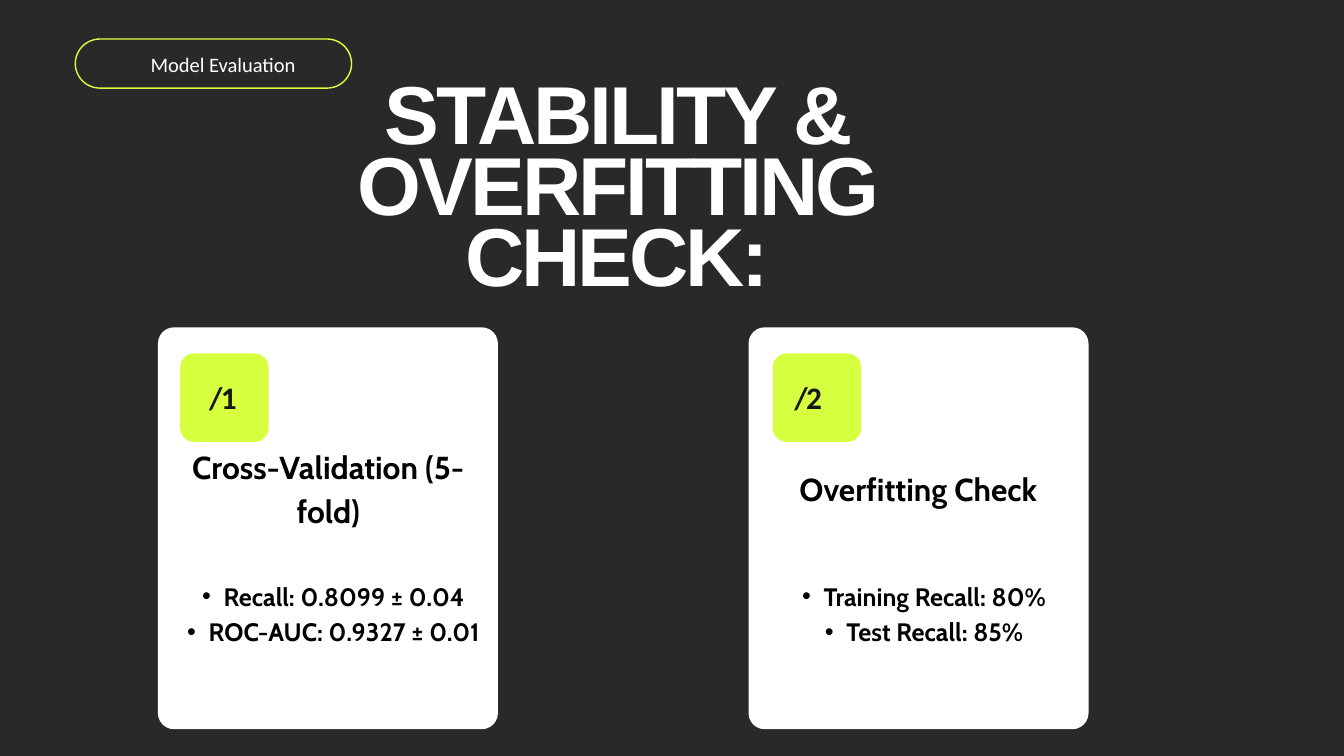
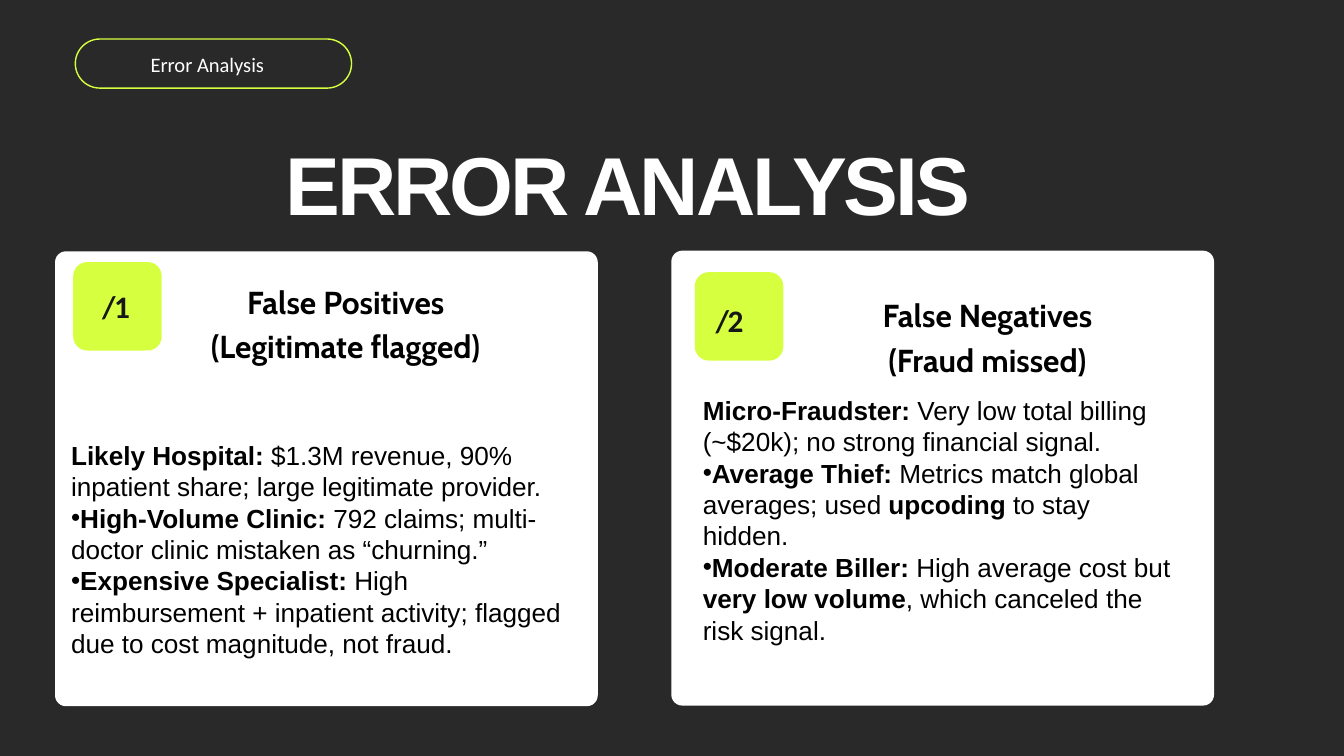
from lxml import etree
from pptx import Presentation
from pptx.dml.color import RGBColor
from pptx.enum.shapes import MSO_SHAPE as SHAPE
from pptx.enum.text import MSO_ANCHOR as ANCHOR, MSO_AUTO_SIZE as AUTO, PP_ALIGN as ALIGN
from pptx.oxml.ns import qn
from pptx.util import Pt

COLORS = {"bg": "292929", "lime": "D6FF3F", "white": "FFFFFF", "ink": "171717", "black": "000000"}
STYLES = {
    "title": dict(font="Arial", size=88, color="white", bold=True, spc=-320, leading=75.7, align=ALIGN.CENTER),
    "label": dict(font="Calibri", size=22, color="white", leading=30.8),
    "number": dict(font="Calibri", size=33.5, color="ink", bold=True, spc=-170, leading=40.2, level=1),
    "heading": dict(font="Cabin", size=34, color="black", bold=True, leading=47.6, align=ALIGN.CENTER),
    "metric": dict(font="Cabin", size=27, color="black", bold=True, leading=37.8, align=ALIGN.CENTER, level=1),
    "note": dict(font="Arial", size=28, color="black"),
}
BADGE = 94.8


def rgb(name):
    return RGBColor.from_string(COLORS[name])


def add_rounded(s, x, y, w, h, radius, fill=None, line=None):
    sp = s.shapes.add_shape(SHAPE.ROUNDED_RECTANGLE, Pt(x), Pt(y), Pt(w), Pt(h))
    sp.shadow.inherit = False
    sp.adjustments[0] = radius / min(w, h)
    if fill:
        sp.fill.solid()
        sp.fill.fore_color.rgb = rgb(fill)
    else:
        sp.fill.background()
    if line:
        sp.line.color.rgb = rgb(line)
        sp.line.width = Pt(1.5)
    else:
        sp.line.fill.background()


def set_indent(p, margin=0, indent=0):
    pPr = p._p.get_or_add_pPr()
    pPr.set("marL", str(Pt(margin)))
    pPr.set("indent", str(Pt(indent)))


def add_bullet(p):
    pPr = p._p.get_or_add_pPr()
    etree.SubElement(pPr, qn("a:buFont")).set("typeface", "Arial")
    etree.SubElement(pPr, qn("a:buChar")).set("char", "•")


def format_run(r, style, bold):
    r.font.name = style["font"]
    r.font.size = Pt(style["size"])
    r.font.bold = bold
    r.font.color.rgb = rgb(style["color"])
    if "spc" in style:
        r._r.get_or_add_rPr().set("spc", str(style["spc"]))


def add_paragraph(tf, first, text, style):
    p = tf.paragraphs[0] if first else tf.add_paragraph()
    p.alignment = style.get("align", ALIGN.LEFT)
    p.level = style.get("level", 0)
    set_indent(p)
    if "leading" in style:
        p.line_spacing = Pt(style["leading"])
    for i, part in enumerate(text.split("**")):
        if part:
            r = p.add_run()
            r.text = part
            format_run(r, style, style.get("bold", i % 2 == 1))
    return p


def add_text(s, x, y, w, h, lines, kind):
    tf = s.shapes.add_textbox(Pt(x), Pt(y), Pt(w), Pt(h)).text_frame
    tf.word_wrap = True
    tf.auto_size = AUTO.SHAPE_TO_FIT_TEXT
    if kind == "note":
        tf.vertical_anchor = ANCHOR.MIDDLE
    else:
        tf.margin_left = tf.margin_right = tf.margin_top = tf.margin_bottom = 0
    for i, line in enumerate(lines):
        p = add_paragraph(tf, i == 0, line, STYLES[kind])
        if kind == "metric":
            set_indent(p, 46.08, -23.04)
            add_bullet(p)
        elif kind == "note" and i:
            add_bullet(p)


def add_badge(s, x, y, number, dx, dy):
    add_rounded(s, x, y, BADGE, BADGE, 15, fill="lime")
    add_text(s, x + dx, y + dy, 49.7, 40.3, [f"/{number}"], "number")


def add_heading(s, x, y, h, text):
    add_text(s, x, y, 321.84, h, [text], "heading")


def add_slide(prs, label, title, x, y, h):
    s = prs.slides.add_slide(prs.slide_layouts[6])
    s.background.fill.solid()
    s.background.fill.fore_color.rgb = rgb("bg")
    add_rounded(s, 80.7, 41.8, 296, 52.6, 26.3, line="lime")
    add_text(s, x, y, 864.7, h, [title], "title")
    add_text(s, 161.3, 51.8, 306.7, 29.5, [label], "label")
    return s


def stability_slide(prs):
    s = add_slide(prs, "Model Evaluation", "STABILITY & OVERFITTING CHECK:", 229, 97.2, 247.7)
    for x in (169.2, 802):
        add_rounded(s, x, 350.7, 364.3, 430.6, 17.3, fill="white")
    add_badge(s, 193, 378.7, 1, 31, 26.6)
    add_badge(s, 828, 378.7, 2, 23, 26.6)
    add_heading(s, 190.8, 473, 92.9, "Cross-Validation (5-fold)")
    add_heading(s, 823, 496.8, 45.4, "Overfitting Check")
    add_text(s, 169.2, 617, 352.8, 111.6, ["Recall: 0.8099 ± 0.04", "ROC-AUC: 0.9327 ± 0.01"], "metric")
    add_text(s, 823, 617, 311, 111.6, ["Training Recall: 80%", "Test Recall: 85%"], "metric")


def errors_slide(prs):
    s = add_slide(prs, "Error Analysis", "ERROR ANALYSIS", 240.5, 172.8, 95.8)
    for x, y in ((59, 269.3), (719.3, 268.6)):
        add_rounded(s, x, y, 581.5, 487.4, 11.7, fill="white")
    add_badge(s, 78.5, 280.8, 1, 31, 27.4)
    add_badge(s, 744.5, 291.6, 2, 22.3, 31.7)
    add_heading(s, 209.5, 295.9, 140.4, "False Positives (Legitimate flagged)")
    add_heading(s, 897.1, 310.3, 92.9, "False Negatives (Fraud missed)")
    add_text(s, 745.9, 417.6, 527, 278.6, [
        "**Micro-Fraudster:** Very low total billing (~$20k); no strong financial signal.",
        "**Average Thief:** Metrics match global averages; used **upcoding** to stay hidden.",
        "**Moderate Biller:** High average cost but **very low volume**, which canceled the risk signal.",
    ], "note")
    add_text(s, 69.1, 465.8, 552.2, 244.8, [
        "**Likely Hospital:** $1.3M revenue, 90% inpatient share; large legitimate provider.",
        "**High-Volume Clinic:** 792 claims; multi-doctor clinic mistaken as “churning.”",
        "**Expensive Specialist:** High reimbursement + inpatient activity; "
        "flagged due to cost magnitude, not fraud.",
    ], "note")


def main():
    prs = Presentation()
    prs.slide_width, prs.slide_height = Pt(1440), Pt(810)
    stability_slide(prs)
    errors_slide(prs)
    prs.save("out.pptx")


if __name__ == "__main__":
    main()
